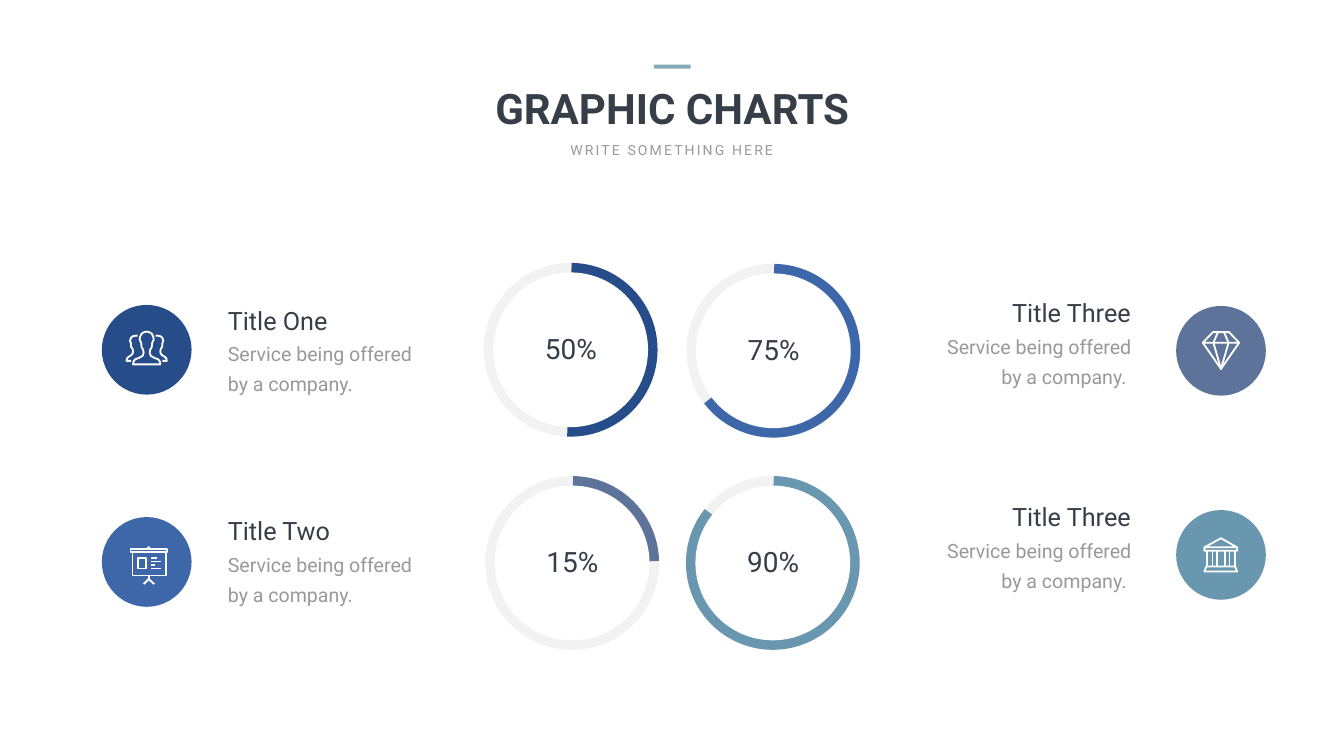
from dataclasses import dataclass

from pptx import Presentation
from pptx.dml.color import RGBColor
from pptx.enum.shapes import MSO_SHAPE
from pptx.enum.text import MSO_ANCHOR, PP_ALIGN
from pptx.util import Inches, Pt


@dataclass(frozen=True)
class Theme:
    font: str = "Roboto"
    ink: str = "363E48"
    muted: str = "999999"
    paper: str = "FFFFFF"
    track: str = "F2F2F2"
    accent: str = "84ACB6"
    navy: str = "264D89"
    blue: str = "3E67AA"
    slate: str = "5D739A"
    teal: str = "6997AF"
    heading: int = 60
    value: int = 40
    label: int = 36
    body: int = 28
    body_line: int = 43
    tagline: int = 20
    ring_stroke: int = 25
    icon_stroke: float = 2.6


THEME = Theme()
WIDTH, HEIGHT = 26.66, 15
RING, HOLE, BADGE = 3.1, 3.07, 1.78
ARC_START = 270.5
BODY_DROP = 0.54


def mirrored(points, width=84):
    """Reflect an icon outline across the middle of the icon."""
    return [(width - x, y) for x, y in reversed(points)]


def box(left, top, right, bottom):
    return [(left, top), (right, top), (right, bottom), (left, bottom), (left, top)]


# Icon strokes, in hundredths of an inch from the icon's top left corner
FRONT = [(15, 67), (16, 61), (19, 57), (27, 54), (34, 50), (36, 44), (35, 38), (32, 33),
         (31, 24), (28, 18), (29, 12), (32, 6), (37, 3), (42, 2)]
SIDE = [(11, 60), (2, 60), (3, 55), (6, 52), (11, 49), (14, 46), (15, 42), (14, 36),
        (11, 32), (11, 26), (9, 20), (11, 14), (15, 11), (21, 10), (24, 10.5)]
PEOPLE = [FRONT + mirrored(FRONT) + FRONT[:1], SIDE, mirrored(SIDE)]
BOARD = [box(2, 5.5, 75, 12.5), box(5.5, 12.5, 71.5, 57.5), box(16, 23, 33, 44),
         [(36, 5.5), (37, 2), (39, 2), (40, 5.5)], [(38.5, 57.5), (38.5, 65)],
         [(28, 75), (38.5, 65), (49, 75)]]
BOARD += [[(43, y), (end, y)] for y, end in ((23, 55), (30, 62), (37, 51), (44, 62))]
DIAMOND = [[(2, 23), (22, 2), (54, 2), (74, 23), (38, 75), (2, 23), (74, 23)],
           [(32, 2), (23, 23), (38, 75), (53, 23), (44, 2)]]
BANK = [[(2, 20.5), (35, 2), (67, 20.5), (67, 27), (2, 27), (2, 20.5), (67, 20.5)],
        [(6, 58.5), (63, 58.5), (67, 67.5), (2, 67.5), (6, 58.5)]]
BANK += [[(x, 27), (x, 58.5)] for x in (8.5, 17.5, 27, 43, 52.5, 61.5)]

# value, left, top, end angle of the arc, colour
RINGS = [
    ("50%", 9.77, 5.39, 92.4, THEME.navy),
    ("75%", 13.79, 5.41, 142.87, THEME.blue),
    ("15%", 9.8, 9.62, 358.78, THEME.slate),
    ("90%", 13.78, 9.62, 218.59, THEME.teal),
]
BLURB = "Service being offered by a company."
# title, blurb, side, badge top, title top, colour, icon, icon position
SERVICES = [
    ("Title One", BLURB, "left", 6.05, 6, THEME.navy, PEOPLE, (2.49, 6.56)),
    ("Title Two", BLURB, "left", 10.26, 10.18, THEME.blue, BOARD, (2.57, 10.84)),
    ("Title Three", BLURB + " ", "right", 6.07, 5.85, THEME.slate, DIAMOND, (23.84, 6.57)),
    ("Title Three", BLURB + " ", "right", 10.12, 9.9, THEME.teal, BANK, (23.87, 10.66)),
]
# badge left, (title left, width), (body left, width), alignment
SIDES = {
    "left": (2.02, (4.42, 5.67), (4.28, 4.41), PP_ALIGN.LEFT),
    "right": (23.33, (18.43, 4.1), (18.43, 4.25), PP_ALIGN.RIGHT),
}


def rgb(colour):
    return RGBColor.from_string(colour)


def add_text(slide, text, at, size, colour=THEME.ink, align=PP_ALIGN.CENTER, bold=False,
             wrap=True, insets=(0.1, 0.05), line=None, spacing=None, holder=None):
    """Write text in a new text box, or in the given placeholder."""
    left, top, width, height = (Inches(v) for v in at)
    if holder is None:
        holder = slide.shapes.add_textbox(left, top, width, height)
    holder.left, holder.top, holder.width, holder.height = left, top, width, height
    frame = holder.text_frame
    frame.word_wrap = wrap
    frame.vertical_anchor = MSO_ANCHOR.TOP
    frame.margin_left = frame.margin_right = Inches(insets[0])
    frame.margin_top = frame.margin_bottom = Inches(insets[1])
    paragraph = frame.paragraphs[0]
    paragraph.alignment = align
    if line:
        paragraph.line_spacing = Pt(line)
    run = paragraph.add_run()
    run.text = text
    run.font.name, run.font.size, run.font.bold = THEME.font, Pt(size), bold
    run.font.color.rgb = rgb(colour)
    if spacing:
        run.font._element.set("spc", str(spacing * 100))


def paint(shape, fill=None, stroke=None, weight=0):
    shape.shadow.inherit = False
    if fill:
        shape.fill.solid()
        shape.fill.fore_color.rgb = rgb(fill)
    else:
        shape.fill.background()
    if stroke:
        shape.line.color.rgb = rgb(stroke)
        shape.line.width = Pt(weight)
    else:
        shape.line.fill.background()


def add_shape(slide, kind, left, top, width, height, **look):
    shape = slide.shapes.add_shape(kind, *(Inches(v) for v in (left, top, width, height)))
    paint(shape, **look)
    return shape


def add_icon(slide, strokes, left, top):
    builder = slide.shapes.build_freeform(*strokes[0][0], scale=Inches(0.01))
    for index, points in enumerate(strokes):
        if index:
            builder.move_to(*points[0])
        builder.add_line_segments(points[1:], close=False)
    icon = builder.convert_to_shape(Inches(left), Inches(top))
    paint(icon, stroke=THEME.paper, weight=THEME.icon_stroke)


def add_ring(slide, value, left, top, end, colour):
    add_shape(slide, MSO_SHAPE.OVAL, left, top, RING, RING,
              stroke=THEME.track, weight=THEME.ring_stroke)
    arc = add_shape(slide, MSO_SHAPE.ARC, left, top, RING, RING,
                    stroke=colour, weight=THEME.ring_stroke)
    # Angles are kept in 60000ths of a degree, adjustments in 100000ths
    arc.adjustments[0], arc.adjustments[1] = ARC_START * 0.6, end * 0.6
    inset = (RING - HOLE) / 2
    add_shape(slide, MSO_SHAPE.OVAL, left + inset, top + inset, HOLE, HOLE, fill=THEME.paper)
    add_text(slide, value, (left + 0.23, top + 1.13, 2.65, 0.77), THEME.value)


def add_service(slide, title, blurb, side, badge_top, title_top, colour, icon, icon_at):
    badge_left, (title_left, title_width), (body_left, body_width), align = SIDES[side]
    add_shape(slide, MSO_SHAPE.OVAL, badge_left, badge_top, BADGE, BADGE, fill=colour)
    add_icon(slide, icon, *icon_at)
    add_text(slide, blurb, (body_left, title_top + BODY_DROP, body_width, 1.39), THEME.body,
             colour=THEME.muted, align=align, insets=(0.24, 0.12), line=THEME.body_line)
    add_text(slide, title, (title_left, title_top, title_width, 0.71), THEME.label, align=align)


def main():
    deck = Presentation()
    deck.slide_width, deck.slide_height = Inches(WIDTH), Inches(HEIGHT)
    slide = deck.slides.add_slide(deck.slide_layouts[5])
    add_text(slide, "GRAPHIC CHARTS", (8.18, 1.59, 10.31, 1.11), THEME.heading,
             bold=True, holder=slide.shapes.title)
    add_text(slide, "WRITE SOMETHING HERE", (11.15, 2.75, 4.35, 0.44), THEME.tagline,
             colour=THEME.muted, wrap=False, spacing=3)
    add_shape(slide, MSO_SHAPE.RECTANGLE, 12.97, 1.28, 0.73, 0.08, fill=THEME.accent)
    for ring in RINGS:
        add_ring(slide, *ring)
    for service in SERVICES:
        add_service(slide, *service)
    deck.save("out.pptx")


if __name__ == "__main__":
    main()
